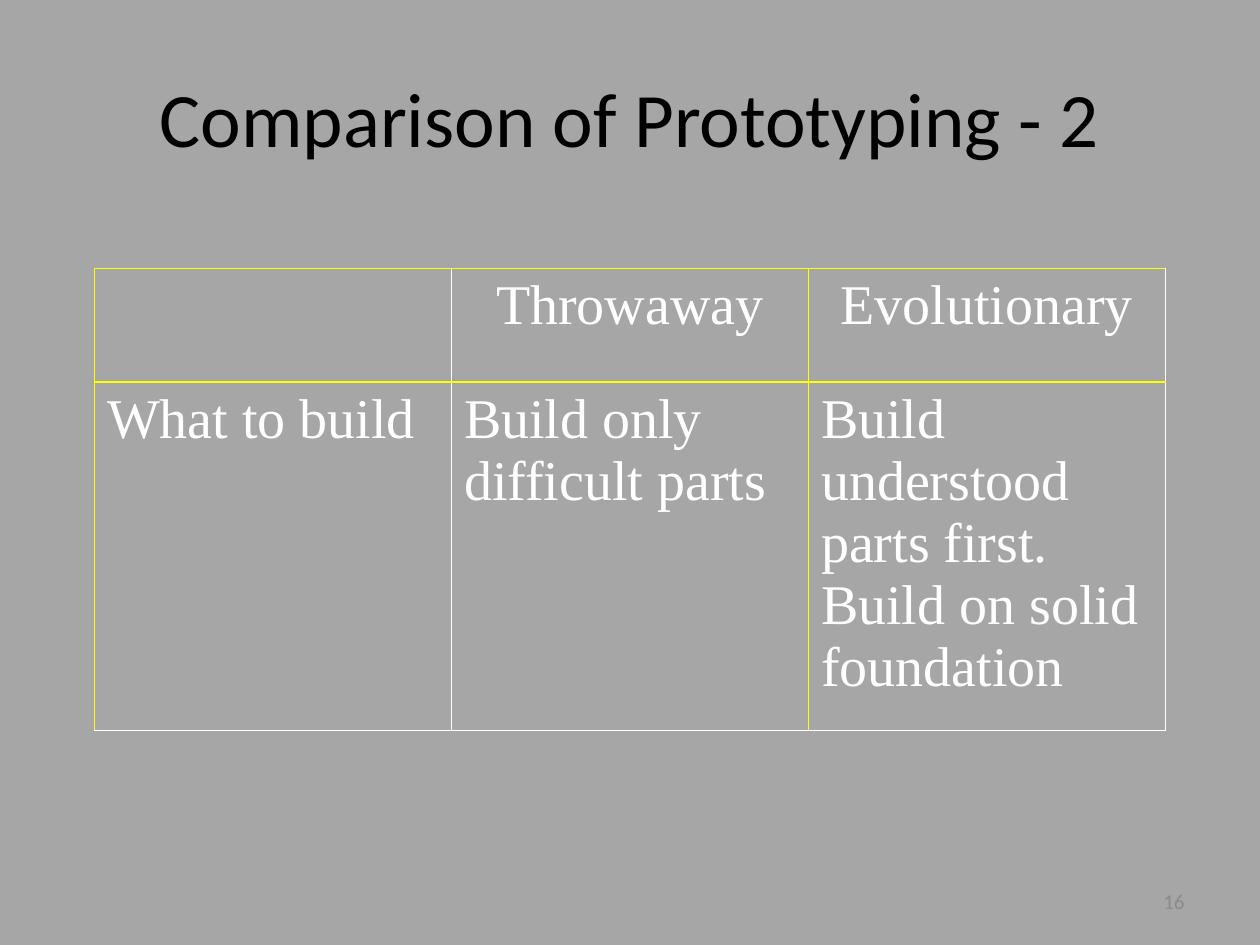
"""Build the slide comparing throwaway and evolutionary prototyping."""
from lxml import etree
from pptx import Presentation
from pptx.dml.color import RGBColor
from pptx.enum.text import MSO_ANCHOR, PP_ALIGN
from pptx.oxml.ns import qn
from pptx.util import Inches, Pt

TITLE = "Comparison of Prototyping - 2"
PAGE_NUMBER = "16"
COMPARISON = [
    ["", "Throwaway", "Evolutionary"],
    ["What to build", "Build only difficult parts",
     "Build understood parts first. Build on solid foundation"],
]
COLORS = {
    "background": "A6A6A6",
    "title": "000000",
    "number": "8B8B8B",
    "cell": "FFFFFF",
    "yellow": "FFFF00",
    "white": "FFFFFF",
}
COLUMN_RULES = ["yellow", "white", "yellow", "white"]
ROW_RULES = ["yellow", "yellow", "white"]
ROW_HEIGHTS = [0.9, 2.57]
TABLE_LEFT, TABLE_TOP, TABLE_WIDTH = 0.75, 2.13, 8.5


def style(paragraph, font_name, size, color, align):
    paragraph.alignment = align
    font = paragraph.font
    font.name = font_name
    font.size = Pt(size)
    font.color.rgb = RGBColor.from_string(COLORS[color])


def add_label(slide, box, text, size, color, align):
    frame = slide.shapes.add_textbox(*map(Inches, box)).text_frame
    frame.word_wrap = True
    frame.vertical_anchor = MSO_ANCHOR.MIDDLE
    frame.text = text
    style(frame.paragraphs[0], "Calibri", size, color, align)


def add_borders(cell, sides):
    properties = cell._tc.get_or_add_tcPr()
    for position, (side, color) in enumerate(sides.items()):
        line = etree.Element(qn(f"a:{side}"), w=str(Pt(1)))
        fill = etree.SubElement(line, qn("a:solidFill"))
        etree.SubElement(fill, qn("a:srgbClr"), val=COLORS[color])
        properties.insert(position, line)


def add_comparison(slide):
    row_count, column_count = len(COMPARISON), len(COMPARISON[0])
    table = slide.shapes.add_table(
        row_count, column_count, Inches(TABLE_LEFT), Inches(TABLE_TOP),
        Inches(TABLE_WIDTH), Inches(sum(ROW_HEIGHTS))).table
    table.first_row = table.horz_banding = False
    for row, height in zip(table.rows, ROW_HEIGHTS):
        row.height = Inches(height)
    for r, texts in enumerate(COMPARISON):
        for c, text in enumerate(texts):
            cell = table.cell(r, c)
            cell.text = text
            cell.fill.background()
            align = PP_ALIGN.CENTER if r == 0 else PP_ALIGN.LEFT
            style(cell.text_frame.paragraphs[0], "Times New Roman", 32, "cell", align)
            add_borders(cell, {
                "lnL": COLUMN_RULES[c], "lnR": COLUMN_RULES[c + 1],
                "lnT": ROW_RULES[r], "lnB": ROW_RULES[r + 1],
            })


def main():
    deck = Presentation()
    deck.slide_width, deck.slide_height = Inches(10), Inches(7.5)
    slide = deck.slides.add_slide(deck.slide_layouts[6])
    background = slide.background.fill
    background.solid()
    background.fore_color.rgb = RGBColor.from_string(COLORS["background"])
    add_label(slide, (0.5, 0.3, 9, 1.25), TITLE, 44, "title", PP_ALIGN.CENTER)
    add_comparison(slide)
    add_label(slide, (7.17, 6.95, 2.33, 0.4), PAGE_NUMBER, 12, "number", PP_ALIGN.RIGHT)
    deck.save("out.pptx")


if __name__ == "__main__":
    main()
